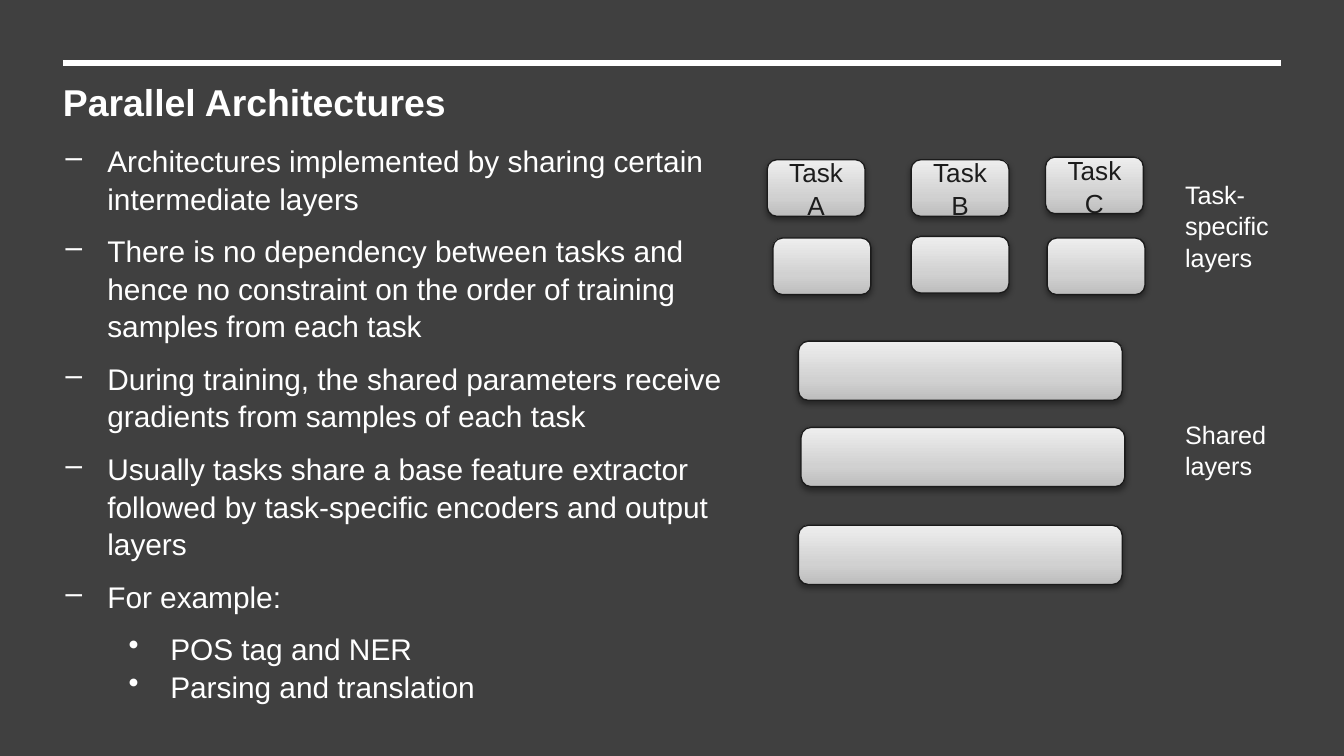
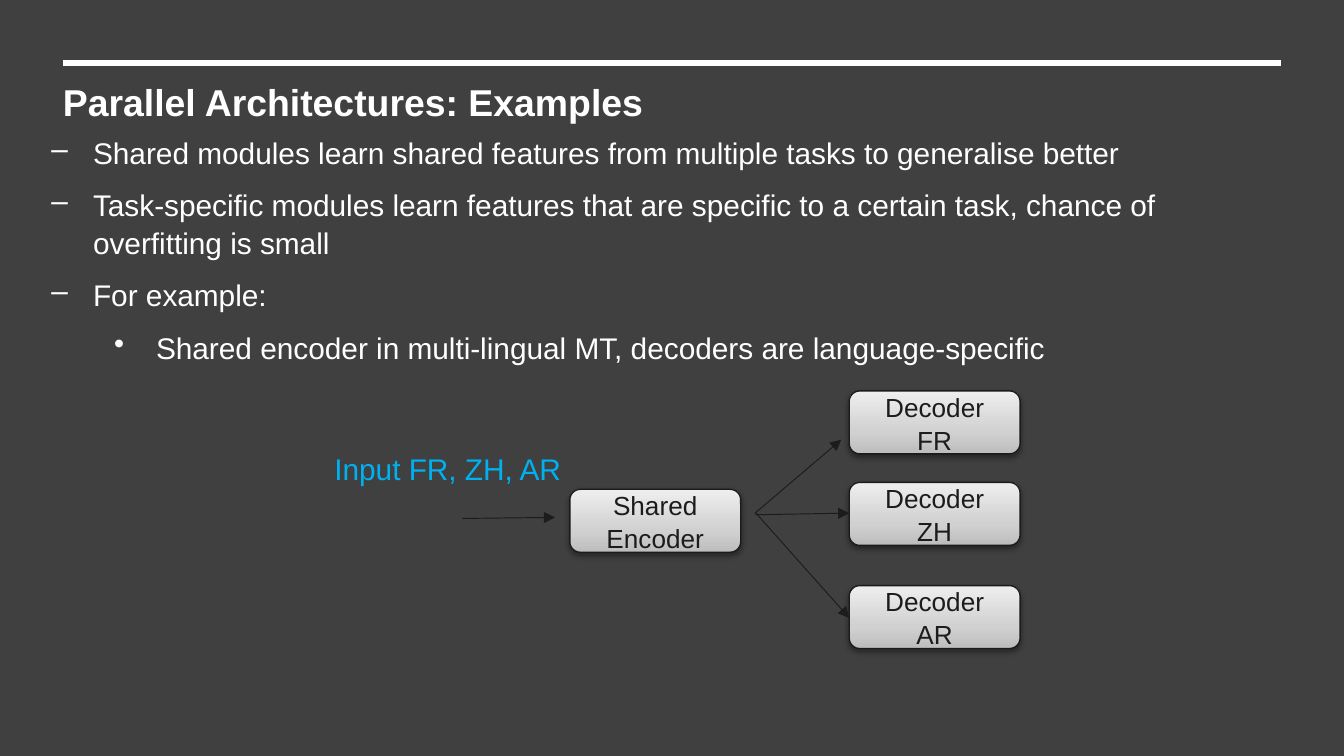
from lxml import etree
from pptx import Presentation
from pptx.dml.color import RGBColor
from pptx.enum.shapes import MSO_CONNECTOR, MSO_SHAPE
from pptx.enum.text import MSO_ANCHOR, MSO_AUTO_SIZE, PP_ALIGN
from pptx.oxml.ns import qn
from pptx.util import Cm, Pt

STRAIGHT = MSO_CONNECTOR.STRAIGHT
ROUNDED = MSO_SHAPE.ROUNDED_RECTANGLE
MIDDLE, TOP = MSO_ANCHOR.MIDDLE, MSO_ANCHOR.TOP
GROW = MSO_AUTO_SIZE.SHAPE_TO_FIT_TEXT
LEFT, CENTER = PP_ALIGN.LEFT, PP_ALIGN.CENTER

# Shared look
FONT = "Arial"
BACKGROUND, WHITE, DARK, BORDER, BLUE = "404040", "FFFFFF", "1C1C1C", "1B1B1B", "00B0F0"
GRADIENT = [(0, "BDBDBD"), (35, "D1D1D1"), (100, "EEEEEE")]
LINE_SPACING = 1.05
TITLE_BOX = (1.19, 0.91, 23.01, 1.96)
RULE = (1.19, 1.19, 24.21, 1.19)
# Per level: bullet, left margin (cm), space after (pt)
LEVELS = [("–", 0.79, 8), ("•", 1.98, 0)]
HANGING = 0.79

# Slide 1: (level, text), then boxes as (left, top, text)
ARCHITECTURE_POINTS = [
    (0, "Architectures implemented by sharing certain intermediate layers"),
    (0, "There is no dependency between tasks and hence no constraint on the order of "
        "training samples from each task"),
    (0, "During training, the shared parameters receive gradients from samples of each task"),
    (0, "Usually tasks share a base feature extractor followed by task-specific encoders "
        "and output layers"),
    (0, "For example:"),
    (1, "POS tag and NER"),
    (1, "Parsing and translation"),
]
SHARED_SIZE = (6.12, 1.12)
SHARED_LAYERS = [(15.09, 9.93, ""), (15.14, 8.08, ""), (15.09, 6.45, "")]
TASK_SIZE = (1.85, 1.07)
TASK_LAYERS = [
    (14.61, 4.5, ""), (17.22, 4.47, ""), (19.79, 4.5, ""),
    (14.5, 3.02, "Task A"), (17.22, 3.02, "Task B"), (19.76, 2.97, "Task C"),
]
LAYER_LABELS = [
    ("Task-specific layers", (22.15, 3.23, 2.51, 1.98)),
    ("Shared layers", (22.15, 7.77, 2.51, 1.42)),
]

# Slide 2
EXAMPLE_POINTS = [
    (0, "Shared modules learn shared features from multiple tasks to generalise better"),
    (0, "Task-specific modules learn features that are specific to a certain task, "
        "chance of overfitting is small"),
    (0, "For example:"),
    (1, "Shared encoder in multi-lingual MT, decoders are language-specific"),
]
MODULE_SIZE = (3.23, 1.19)
MODULES = [
    (10.77, 9.25, "Shared Encoder"),
    (16.05, 7.39, "Decoder FR"),
    (16.05, 9.12, "Decoder ZH"),
    (16.05, 11.07, "Decoder AR"),
]
ARROWS = [
    (14.27, 9.7, 15.9, 8.31),
    (14.27, 9.73, 16.05, 9.7),
    (14.27, 9.68, 16.05, 11.68),
    (8.74, 9.8, 10.49, 9.78),
]


def rgb(value):
    return RGBColor.from_string(value)


def cm(values):
    return [Cm(v) for v in values]


def add_xml(parent, tag, **attrs):
    return etree.SubElement(parent, qn(tag), {k: str(v) for k, v in attrs.items()})


def style_paragraph(p, size, color, bold=False, align=LEFT):
    p.alignment = align
    p.line_spacing = LINE_SPACING
    for r in p.runs:
        r.font.name, r.font.size, r.font.bold = FONT, Pt(size), bold
        r.font.color.rgb = rgb(color)


def add_text(s, box, inset=True, anchor=TOP):
    tf = s.shapes.add_textbox(*cm(box)).text_frame
    tf.word_wrap = True
    tf.vertical_anchor = anchor
    if not inset:
        tf.margin_left = tf.margin_top = tf.margin_right = tf.margin_bottom = 0
    return tf


def add_line(s, ends, color, width, arrow=False):
    line = s.shapes.add_connector(STRAIGHT, *cm(ends))
    line.line.color.rgb = rgb(color)
    line.line.width = Pt(width)
    if arrow:
        add_xml(line.line._get_or_add_ln(), "a:tailEnd", type="triangle")
    add_xml(line._element.spPr, "a:effectLst")


def add_points(s, box, points):
    tf = add_text(s, box, inset=False)
    for i, (level, text) in enumerate(points):
        p = tf.add_paragraph() if i else tf.paragraphs[0]
        p.text = text
        p.level = level
        bullet, margin, after = LEVELS[level]
        style_paragraph(p, 16, WHITE)
        p.space_after = Pt(after)
        pPr = p._p.get_or_add_pPr()
        pPr.set("marL", str(Cm(margin)))
        pPr.set("indent", str(-Cm(HANGING)))
        add_xml(pPr, "a:buChar", char=bullet)


def add_boxes(s, size, boxes):
    for left, top, text in boxes:
        sp = s.shapes.add_shape(ROUNDED, *cm((left, top) + size))
        # Vertical gradient, dark at the bottom
        sp.fill.gradient()
        sp.fill.gradient_angle = 90
        stops = sp._element.spPr.find(".//" + qn("a:gsLst"))
        for stop in list(stops):
            stops.remove(stop)
        for pos, color in GRADIENT:
            add_xml(add_xml(stops, "a:gs", pos=pos * 1000), "a:srgbClr", val=color)
        sp.line.color.rgb = rgb(BORDER)
        sp.line.width = Pt(0.75)
        # Soft shadow below
        sp.shadow.inherit = False
        effects = sp._element.spPr.find(qn("a:effectLst"))
        shadow = add_xml(effects, "a:outerShdw", blurRad=Pt(3.1), dist=Pt(1.6),
                         dir=90 * 60000, rotWithShape=0)
        add_xml(add_xml(shadow, "a:srgbClr", val="000000"), "a:alpha", val=38000)
        if text:
            tf = sp.text_frame
            tf.text = text
            tf.word_wrap = True
            tf.vertical_anchor = MIDDLE
            style_paragraph(tf.paragraphs[0], 14, DARK, align=CENTER)


def add_slide(prs, title, points, points_box):
    s = prs.slides.add_slide(prs.slide_layouts[6])
    s.background.fill.solid()
    s.background.fill.fore_color.rgb = rgb(BACKGROUND)
    add_line(s, RULE, WHITE, 3)
    add_points(s, points_box, points)
    tf = add_text(s, TITLE_BOX, inset=False, anchor=MIDDLE)
    tf.text = title
    style_paragraph(tf.paragraphs[0], 20, WHITE, bold=True)
    tf.paragraphs[0].space_after = Pt(8)
    return s


def main():
    prs = Presentation()
    prs.slide_width, prs.slide_height = Cm(25.4), Cm(14.29)

    # Layer diagram
    s = add_slide(prs, "Parallel Architectures", ARCHITECTURE_POINTS,
                  (1.24, 2.67, 13.23, 10.46))
    add_boxes(s, SHARED_SIZE, SHARED_LAYERS)
    add_boxes(s, TASK_SIZE, TASK_LAYERS)
    for text, box in LAYER_LABELS:
        tf = add_text(s, box)
        tf.auto_size = GROW
        tf.text = text
        style_paragraph(tf.paragraphs[0], 13.5, WHITE)

    # Encoder and decoders
    s = add_slide(prs, "Parallel Architectures: Examples", EXAMPLE_POINTS,
                  (0.97, 2.51, 23.01, 4.88))
    add_boxes(s, MODULE_SIZE, MODULES)
    for ends in ARROWS:
        add_line(s, ends, DARK, 0.5, arrow=True)
    tf = add_text(s, (6.32, 8.48, 4.72, 1.35), inset=False)
    tf.text = "Input FR, ZH, AR"
    style_paragraph(tf.paragraphs[0], 16, BLUE)

    prs.save("out.pptx")


if __name__ == "__main__":
    main()
